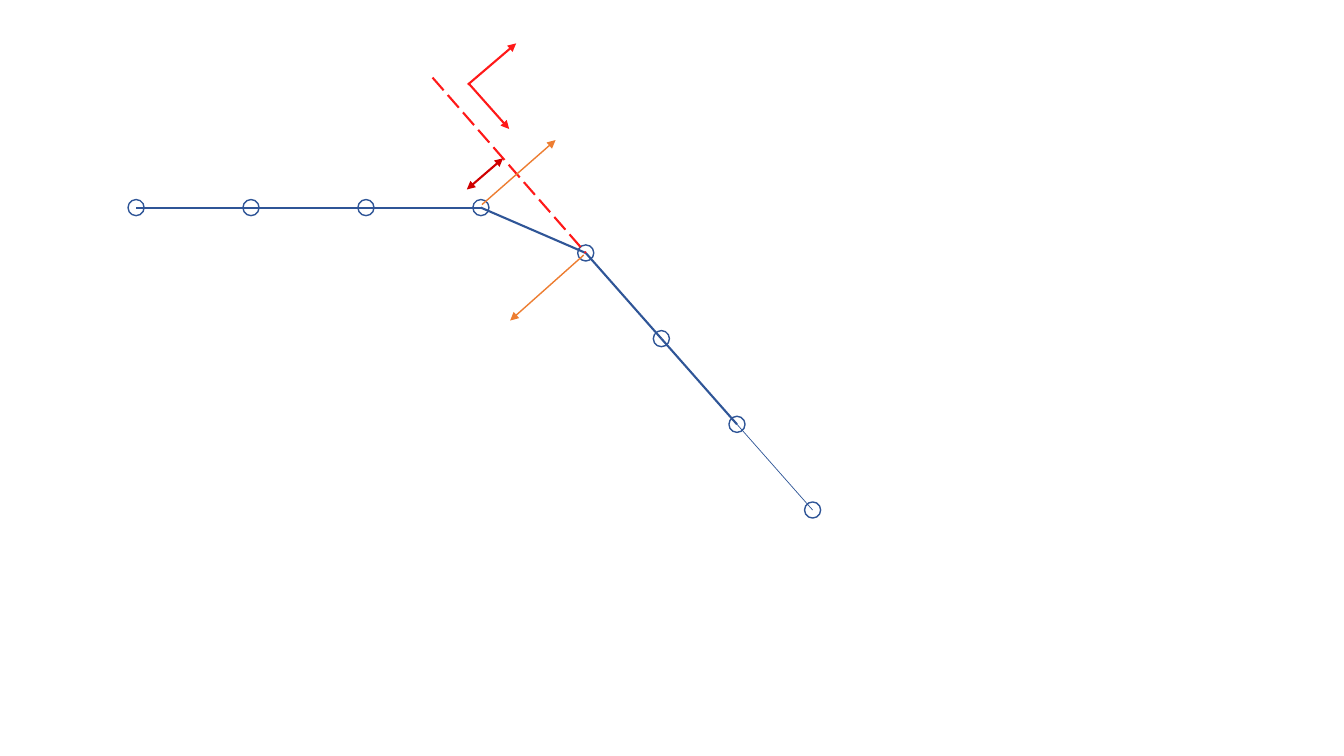
from lxml import etree
from pptx import Presentation
from pptx.dml.color import RGBColor
from pptx.enum.dml import MSO_LINE
from pptx.enum.shapes import MSO_CONNECTOR, MSO_SHAPE
from pptx.oxml.ns import qn
from pptx.util import Inches, Pt

STRAIGHT = MSO_CONNECTOR.STRAIGHT
OVAL = MSO_SHAPE.OVAL
LONG_DASH = MSO_LINE.LONG_DASH

COLORS = {"chain": "2F5597", "axis": "FF1919", "offset": "D00000", "force": "ED7D31"}
NODE_SIZE = 0.16

prs = Presentation()
prs.slide_width = Inches(13.33)
prs.slide_height = Inches(7.5)
slide = prs.slides.add_slide(prs.slide_layouts[6])


def add_line(start, end, color, width, ends=(), dash=None):
    link = slide.shapes.add_connector(
        STRAIGHT, *[Inches(value) for value in (*start, *end)])
    link.line.color.rgb = RGBColor.from_string(COLORS[color])
    link.line.width = Pt(width)
    if dash is not None:
        link.line.dash_style = dash
    properties = link._element.spPr
    outline = properties.find(qn("a:ln"))
    for end_tag in ends:
        etree.SubElement(outline, qn(end_tag), type="triangle")
    etree.SubElement(properties, qn("a:effectLst"))


flat_nodes = [(1.35 + 1.14 * i, 2.06) for i in range(4)]
sloped_nodes = [(5.81 + 0.75 * i, 2.51 + 0.85 * i) for i in range(4)]
nodes = flat_nodes + sloped_nodes

link_widths = [1.5] * 6 + [0.5]
for start, end, width in zip(nodes, nodes[1:], link_widths):
    add_line(start, end, "chain", width)

for x, y in nodes:
    node = slide.shapes.add_shape(
        OVAL, Inches(x - NODE_SIZE / 2), Inches(y - NODE_SIZE / 2),
        Inches(NODE_SIZE), Inches(NODE_SIZE))
    node.shadow.inherit = False
    node.fill.background()
    node.line.color.rgb = RGBColor.from_string(COLORS["chain"])
    node.line.width = Pt(1)

add_line((4.29, 0.77), sloped_nodes[0], "axis", 1.5, dash=LONG_DASH)

arrows = [
    ((4.65, 0.83), (5.05, 1.28), "axis", 1.5, ["a:tailEnd"]),
    ((4.64, 0.84), (5.12, 0.43), "axis", 1.5, ["a:tailEnd"]),
    ((4.63, 1.88), (4.99, 1.57), "offset", 1.5, ["a:headEnd", "a:tailEnd"]),
    ((4.78, 2.03), (5.51, 1.39), "force", 1, ["a:tailEnd"]),
    ((5.79, 2.53), (5.06, 3.18), "force", 1, ["a:tailEnd"]),
]
for start, end, color, width, ends in arrows:
    add_line(start, end, color, width, ends)

prs.save("out.pptx")
